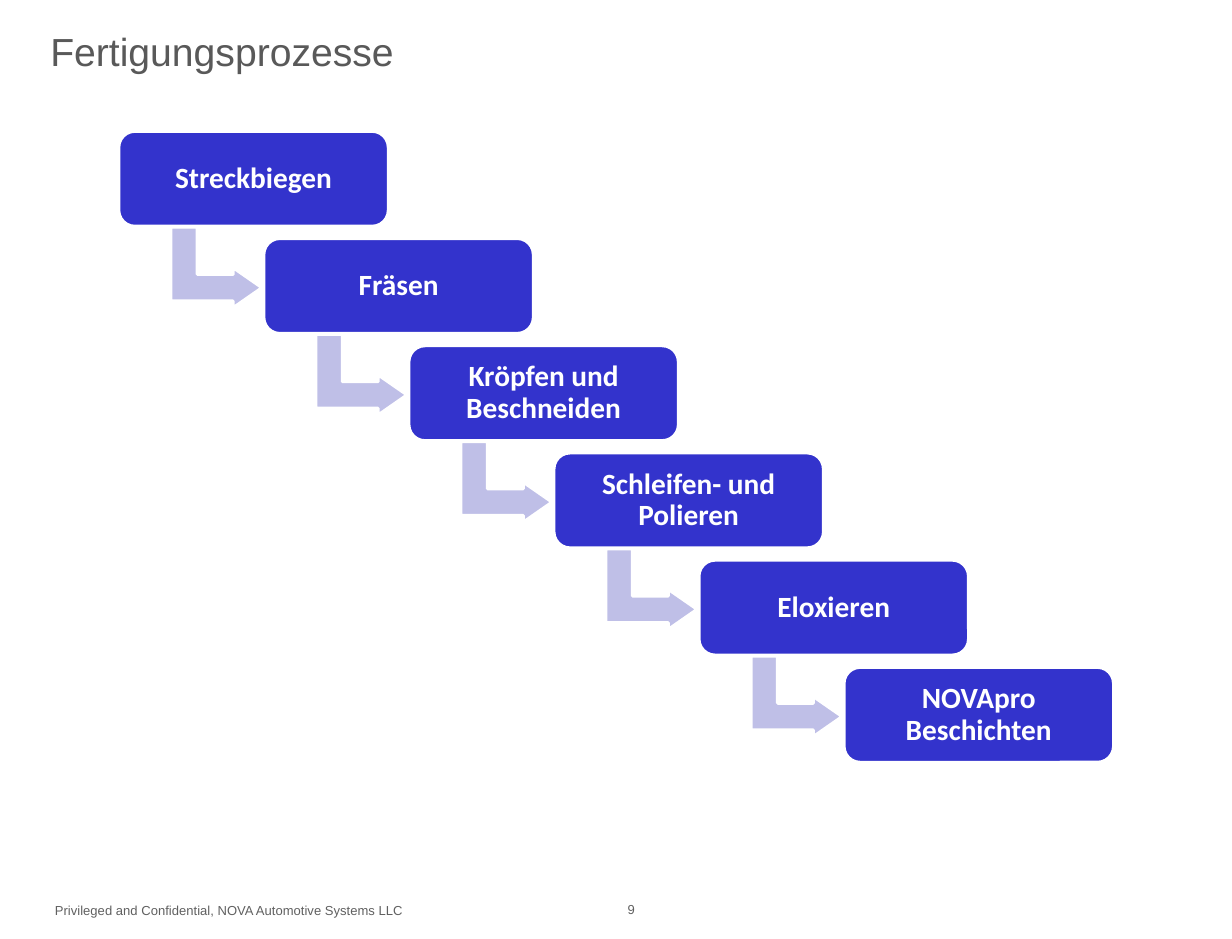
from pptx import Presentation
from pptx.dml.color import RGBColor
from pptx.enum.shapes import MSO_SHAPE
from pptx.enum.text import MSO_ANCHOR, PP_ALIGN
from pptx.util import Cm, Pt

STEPS = [
    "Streckbiegen",
    "Fräsen",
    "Kröpfen und Beschneiden",
    "Schleifen- und Polieren",
    "Eloxieren",
    "NOVApro Beschichten",
]
# Staircase geometry in centimetres
FIRST_LEFT, FIRST_TOP = 2.57, 2.84
STEP_RIGHT, STEP_DOWN = 3.14, 2.32
ARROW_RIGHT, ARROW_DOWN = 1.24, 1.96


def colour(hex_string):
    return RGBColor.from_string(hex_string)


class ProcessSlide:
    """Holds the style and the current slide."""

    box_fill, arrow_fill, outline = "3333CC", "BFBFE7", "FFFFFF"
    title_colour, footer_colour = "595959", "606060"

    def __init__(self, slide):
        self.slide = slide

    def add_span(self, frame, text, font, size, hex_string, bold=False):
        para = frame.paragraphs[0]
        span = para.add_run()
        span.text = text
        span.font.name = font
        span.font.size = Pt(size)
        span.font.bold = bold
        span.font.color.rgb = colour(hex_string)
        return para

    def label(self, text, left, top, width, height, size, hex_string,
              anchor=MSO_ANCHOR.TOP, side_inset=0.25):
        box = self.slide.shapes.add_textbox(Cm(left), Cm(top), Cm(width), Cm(height))
        frame = box.text_frame
        frame.word_wrap = True
        frame.vertical_anchor = anchor
        frame.margin_left = frame.margin_right = Cm(side_inset)
        self.add_span(frame, text, "Arial", size, hex_string)

    def shape(self, kind, left, top, width, height, fill, adjustments):
        shape = self.slide.shapes.add_shape(
            kind, Cm(left), Cm(top), Cm(width), Cm(height))
        shape.shadow.inherit = False
        shape.fill.solid()
        shape.fill.fore_color.rgb = colour(fill)
        shape.line.color.rgb = colour(self.outline)
        shape.line.width = Pt(2)
        for index, value in enumerate(adjustments):
            shape.adjustments[index] = value
        return shape

    def arrow(self, left, top):
        arrow = self.shape(MSO_SHAPE.BENT_UP_ARROW, left, top, 1.75, 1.98,
                           self.arrow_fill, [0.33, 0.25, 0.36])
        arrow.rotation = 90

    def step(self, text, left, top):
        box = self.shape(MSO_SHAPE.ROUNDED_RECTANGLE, left, top, 5.84, 2.06,
                         self.box_fill, [0.17])
        frame = box.text_frame
        frame.word_wrap = True
        frame.vertical_anchor = MSO_ANCHOR.MIDDLE
        frame.margin_left = frame.margin_right = Cm(0.18)
        frame.margin_top = frame.margin_bottom = Cm(0.18)
        para = self.add_span(frame, text, "Calibri", 18, "FFFFFF", bold=True)
        para.alignment = PP_ALIGN.CENTER
        para.line_spacing = 0.9


def main():
    deck = Presentation()
    deck.slide_width, deck.slide_height = Cm(26.67), Cm(20.32)
    page = ProcessSlide(deck.slides.add_slide(deck.slide_layouts[6]))

    # Footer and page number
    page.label("Privileged and Confidential, NOVA Automotive Systems LLC",
               0.94, 19.41, 10.92, 0.64, 8, page.footer_colour)
    page.label("9", 13.34, 19.38, 1.27, 0.66, 8, page.footer_colour)

    # Title
    page.label("Fertigungsprozesse", 0.81, 0, 21.54, 2.21, 24,
               page.title_colour, MSO_ANCHOR.MIDDLE, 0.28)

    # Staircase: every step but the last has an arrow to the next one
    for index, text in enumerate(STEPS):
        left = FIRST_LEFT + index * STEP_RIGHT
        top = FIRST_TOP + index * STEP_DOWN
        if index < len(STEPS) - 1:
            page.arrow(left + ARROW_RIGHT, top + ARROW_DOWN)
        page.step(text, left, top)

    deck.save("out.pptx")


if __name__ == "__main__":
    main()
